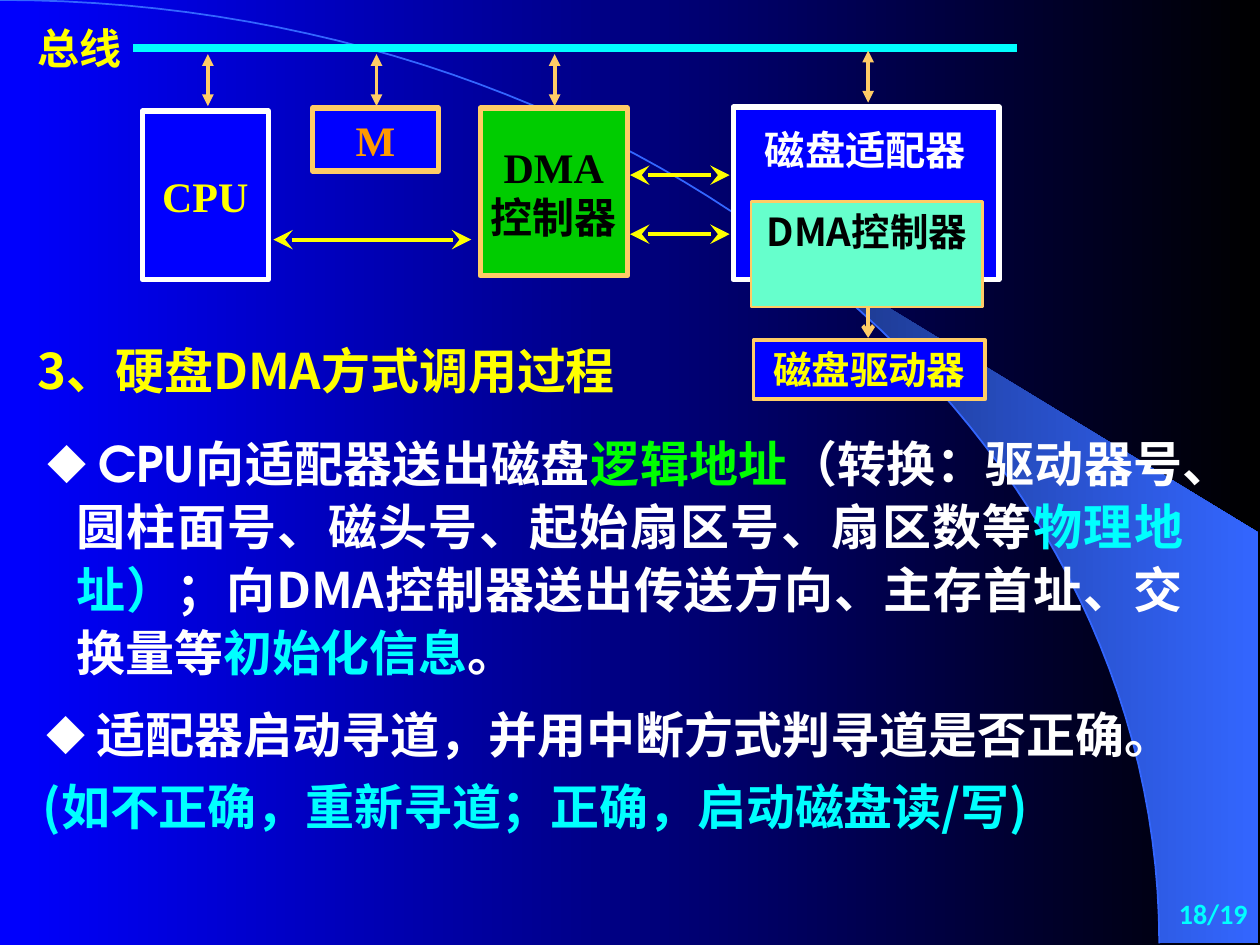
import pptx
import pptx.util
import pptx.dml.color
import pptx.enum.shapes
import pptx.enum.text
import pptx.oxml
import pptx.oxml.ns
from dataclasses import dataclass

Cm, Pt = pptx.util.Cm, pptx.util.Pt
ALIGN = pptx.enum.text.PP_ALIGN
ANCHOR = pptx.enum.text.MSO_ANCHOR


@dataclass(frozen=True)
class Theme:
    blue: str = "0000FF"
    black: str = "000000"
    white: str = "FFFFFF"
    yellow: str = "FFFF00"
    cyan: str = "00FFFF"
    lime: str = "00FF00"
    green: str = "00CC00"
    mint: str = "66FFCC"
    orange: str = "FF9900"
    sand: str = "FFCC66"
    arc: str = "3366FF"
    arc_dark: str = "182F76"
    chinese: str = "Noto Sans CJK SC"
    serif: str = "Times New Roman"
    geometric: str = "TeX Gyre Adventor"
    number: str = "Calibri"
    body: int = 28
    label: int = 24
    adapter: int = 23
    small: int = 22
    footer: int = 16


T = Theme()

# Background arc: Bezier control points, and the outer corners of the swoosh (cm)
ARC = [(0, 0), (12.9, 0), (23.37, 8.51), (23.37, 19.02)]
SWOOSH_START = 0.44
SWOOSH_CORNERS = [(25.37, 19.02), (25.37, 10.74)]

# Text boxes: place (cm), size, align, anchor, bulleted, line points, runs (text, colour, font)
CN = T.chinese
TEXTS = [
    ((0.71, 8.53, 23.39, 5.33), T.body, ALIGN.JUSTIFY, ANCHOR.TOP, True, 36, [
        (" ", T.white, CN),
        ("CPU", T.white, T.geometric),
        ("向适配器送出磁盘", T.white, CN),
        ("逻辑地址", T.lime, CN),
        ("（转换：驱动器号、圆柱面号、磁头号、起始扇区号、扇区数等", T.white, CN),
        ("物理地址）", T.cyan, CN),
        ("；向DMA控制器送出传送方向、主存首址、交换量等", T.white, CN),
        ("初始化信息", T.cyan, CN),
        ("。", T.white, CN)]),
    ((0.51, 6.73, 13.41, 1.45), T.body, ALIGN.LEFT, ANCHOR.TOP, False, None,
     [("3、硬盘DMA方式调用过程", T.yellow, CN)]),
    ((0.69, 14.07, 24.71, 1.45), T.body, ALIGN.LEFT, ANCHOR.TOP, True, None,
     [(" 适配器启动寻道，并用中断方式判寻道是否正确。", T.white, CN)]),
    ((0.61, 15.52, 21.82, 1.45), T.body, ALIGN.LEFT, ANCHOR.TOP, False, None,
     [("(如不正确，重新寻道；正确，启动磁盘读/写)", T.cyan, CN)]),
    ((0.51, 0.33, 3.2, 1.27), T.label, ALIGN.LEFT, ANCHOR.TOP, False, None,
     [("总线", T.yellow, CN)]),
    ((20.12, 17.78, 5.28, 1.27), T.footer, ALIGN.RIGHT, ANCHOR.MIDDLE, False, None,
     [("18/19", T.cyan, T.number)]),
]

# Diagram boxes: place (cm), fill, line, line points, lines of text, size, colour, font, anchor, wrap
BOXES = [
    ((6.3, 2.18, 2.54, 1.27), T.blue, T.sand, 3, ["M"], T.label, T.orange, T.serif, ANCHOR.TOP, True),
    ((9.68, 2.18, 2.97, 3.38), T.green, T.sand, 3, ["DMA", "控制器"], T.label, T.black, T.serif,
     ANCHOR.MIDDLE, False),
    ((2.87, 2.24, 2.54, 3.4), T.blue, T.white, 3, ["CPU"], T.label, T.yellow, T.serif,
     ANCHOR.MIDDLE, False),
    ((14.78, 2.16, 5.36, 3.48), T.blue, T.white, 3, [], 0, None, None, ANCHOR.TOP, True),
    ((15.19, 6.86, 4.67, 1.19), T.blue, T.sand, 2.25, ["磁盘驱动器"], T.small, T.yellow, CN,
     ANCHOR.TOP, True),
    ((14.91, 2.41, 5.08, 1.24), None, None, 0, ["磁盘适配器"], T.adapter, T.white, CN,
     ANCHOR.TOP, True),
    ((15.14, 4.06, 4.67, 2.13), T.mint, T.sand, 1.5, ["DMA控制器"], T.small, T.black, CN,
     ANCHOR.TOP, True),
]

# Lines: start, end (cm), colour, points, arrowhead, head size
BUS = ((2.69, 0.97), (20.5, 0.97), T.cyan, 4.5, None, None)
BUS_TAPS = [((x, top), (x, top + 1.05), T.sand, 2.25, "triangle", "med")
            for x, top in [(4.19, 1.09), (7.59, 1.09), (11.18, 1.09), (17.5, 1.02)]]
DRIVE_LINK = ((17.5, 5.61), (17.5, 6.81), T.sand, 2.25, "arrow", "med")
DATA_LINKS = [((left, y), (right, y), T.yellow, 2.25, "stealth", "lg")
              for left, right, y in [(5.51, 9.5, 4.83), (12.7, 14.71, 3.53), (12.7, 14.71, 4.72)]]


def rgb(value):
    return pptx.dml.color.RGBColor.from_string(value)


def element(parent, tag, **attributes):
    child = pptx.oxml.parse_xml(f"<a:{tag} {pptx.oxml.ns.nsdecls('a')}/>")
    for name, value in attributes.items():
        child.set(name, str(value))
    parent.append(child)
    return child


def gradient(fill, *colours):
    fill.gradient()
    fill.gradient_angle = 0
    for stop, colour in zip(fill.gradient_stops, colours):
        stop.color.rgb = rgb(colour)


def add_span(para, text, size, colour, font):
    span = para.add_run()
    span.text = text
    span.font.size, span.font.bold = Pt(size), True
    span.font.color.rgb = rgb(colour)
    span.font.name = font
    element(span.font._element, "ea", typeface=CN)


def add_bullet(para):
    properties = para._p.get_or_add_pPr()
    properties.set("marL", str(Cm(0.58)))
    properties.set("indent", str(-Cm(0.58)))
    element(element(properties, "buClr"), "srgbClr", val=T.white)
    element(properties, "buSzPct", val=80000)
    element(properties, "buFont", typeface=CN)
    element(properties, "buChar", char="◆")


def add_line(page, start, end, colour, points, head, head_size):
    line = page.shapes.add_connector(pptx.enum.shapes.MSO_CONNECTOR.STRAIGHT,
                                     *(Cm(value) for value in start + end))
    line.line.color.rgb, line.line.width = rgb(colour), Pt(points)
    if head:
        for side in ("headEnd", "tailEnd"):
            element(line.line._ln, side, type=head, w=head_size, len=head_size)
    element(line._element.spPr, "effectLst")


def add_box(page, place, fill, outline, points, lines, size, colour, font, anchor, wrap):
    lengths = [Cm(value) for value in place]
    if fill:
        box = page.shapes.add_shape(pptx.enum.shapes.MSO_SHAPE.RECTANGLE, *lengths)
        box.shadow.inherit = False
        box.fill.solid()
        box.fill.fore_color.rgb = rgb(fill)
        box.line.color.rgb, box.line.width = rgb(outline), Pt(points)
    else:
        box = page.shapes.add_textbox(*lengths)
    frame = box.text_frame
    frame.word_wrap, frame.vertical_anchor = wrap, anchor
    for index, text in enumerate(lines):
        para = frame.add_paragraph() if index else frame.paragraphs[0]
        para.alignment = ALIGN.CENTER
        add_span(para, text, size, colour, font)


def add_text(page, place, size, align, anchor, bulleted, leading, runs):
    frame = page.shapes.add_textbox(*(Cm(value) for value in place)).text_frame
    frame.word_wrap, frame.vertical_anchor = True, anchor
    para = frame.paragraphs[0]
    if bulleted:
        add_bullet(para)
    para.alignment = align
    if leading:
        para.line_spacing = Pt(leading)
    for text, colour, font in runs:
        add_span(para, text, size, colour, font)


def arc_points(first, steps=60):
    points = []
    for step in range(steps + 1):
        t = first + (1 - first) * step / steps
        weights = ((1 - t) ** 3, 3 * t * (1 - t) ** 2, 3 * t * t * (1 - t), t ** 3)
        points.append(tuple(sum(w * p[axis] for w, p in zip(weights, ARC)) for axis in (0, 1)))
    return points


def add_outline(page, points, close):
    start, *rest = [(Cm(x), Cm(y)) for x, y in points]
    builder = page.shapes.build_freeform(*start)
    builder.add_line_segments(rest, close=close)
    outline = builder.convert_to_shape()
    outline.shadow.inherit = False
    return outline


def main():
    deck = pptx.Presentation()
    deck.slide_width, deck.slide_height = Cm(25.4), Cm(19.05)
    page = deck.slides.add_slide(deck.slide_layouts[6])

    # Background
    gradient(page.background.fill, T.blue, T.black)
    swoosh = add_outline(page, arc_points(SWOOSH_START) + SWOOSH_CORNERS, True)
    gradient(swoosh.fill, T.arc_dark, T.arc)
    swoosh.line.fill.background()
    arc = add_outline(page, arc_points(0), False)
    arc.fill.background()
    arc.line.color.rgb, arc.line.width = rgb(T.arc), Pt(1)

    # Bus diagram
    for line in [BUS, *BUS_TAPS, DRIVE_LINK, *DATA_LINKS]:
        add_line(page, *line)
    for box in BOXES:
        add_box(page, *box)

    # Heading, body and page number
    for text in TEXTS:
        add_text(page, *text)

    deck.save("out.pptx")


if __name__ == "__main__":
    main()
